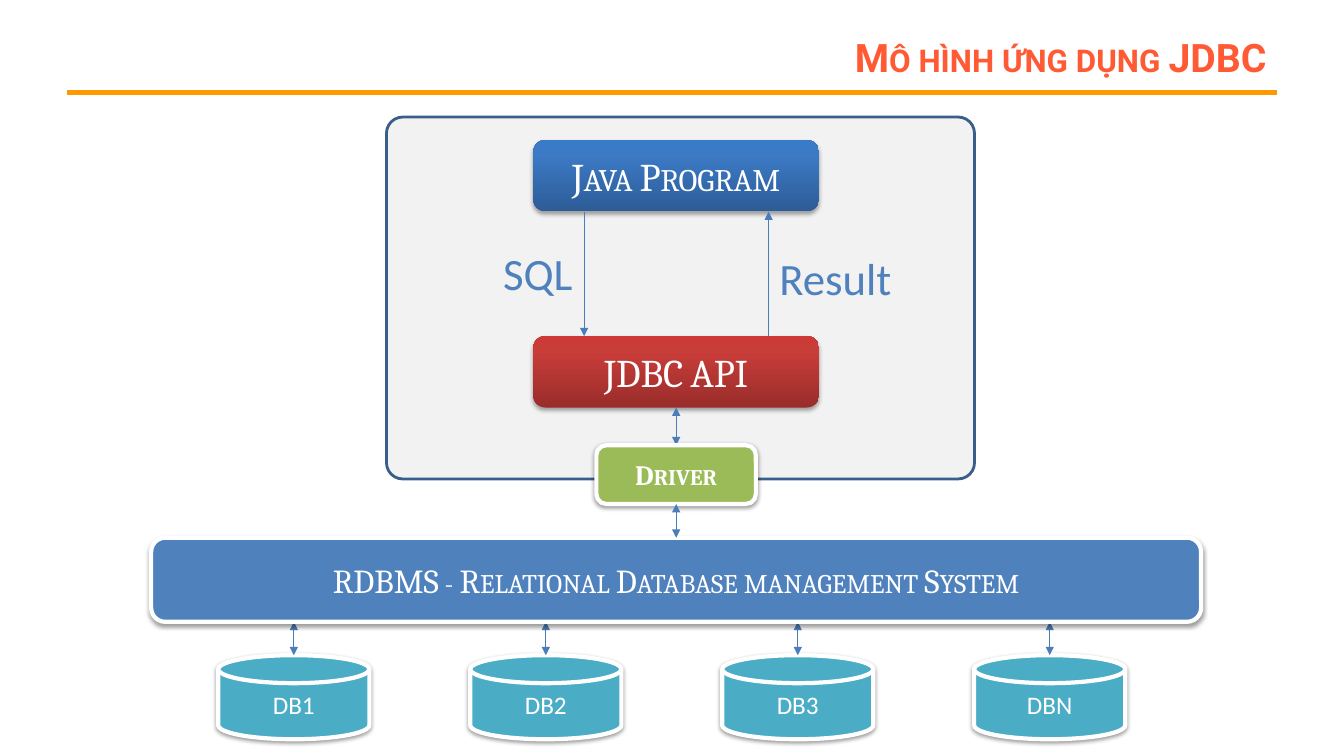
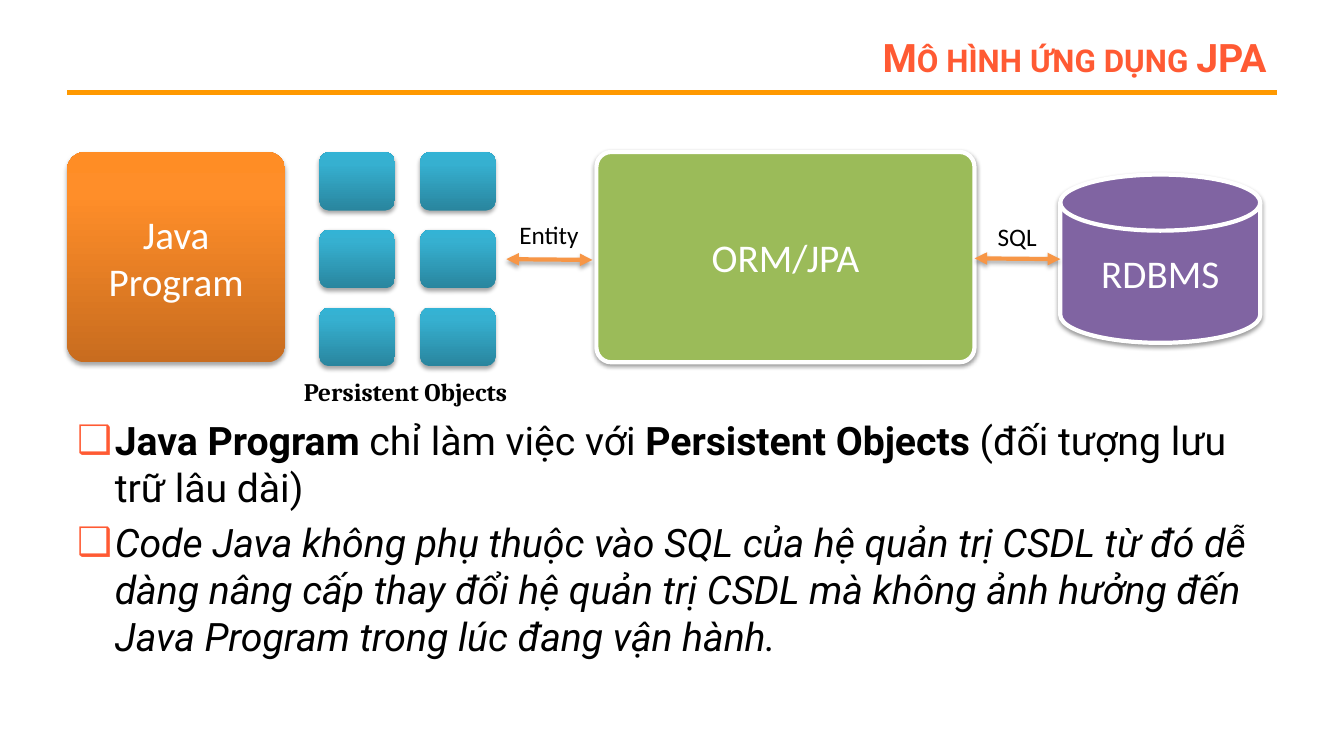
"""Build two slides that compare the JDBC and JPA application models."""
from copy import deepcopy
from dataclasses import dataclass
from typing import NamedTuple, Optional, Union

from lxml import etree
from pptx import Presentation
from pptx import util as u
from pptx.dml.color import RGBColor
from pptx.enum import shapes, text
from pptx.oxml import ns

Gradient = tuple[str, str, str]


class Box(NamedTuple):
    x: float
    y: float
    w: float
    h: float

    @property
    def right(self) -> float:
        return self.x + self.w

    @property
    def bottom(self) -> float:
        return self.y + self.h

    @property
    def mid(self) -> float:
        return self.x + self.w / 2

    def emu(self) -> list[u.Cm]:
        return [u.Cm(v) for v in self]


@dataclass(frozen=True)
class Theme:
    title: str = "FF5A33"
    rule: str = "FF9900"
    white: str = "FFFFFF"
    black: str = "000000"
    panel: str = "F2F2F2"
    panel_edge: str = "395E89"
    blue: str = "4F81BD"
    arrow: str = "4A7DBA"
    green: str = "9BBB59"
    aqua: str = "4BACC6"
    purple: str = "8064A2"
    orange: str = "F79646"
    blue_fade: Gradient = ("2D5C97", "3C7AC5", "397BC9")
    red_fade: Gradient = ("992D2B", "C93D39", "CD3A36")
    orange_fade: Gradient = ("C86C1F", "FF8E29", "FF8D25")
    aqua_fade: Gradient = ("29859E", "36B0D0", "33B3D5")
    fade_stops: tuple[float, float, float] = (0, 0.8, 1)
    heading: str = "Roboto"
    serif: str = "Cambria"
    sans: str = "Calibri"
    huge: float = 32
    large: float = 28
    medium: float = 24
    small: float = 20
    tiny: float = 18


T = Theme()


@dataclass(frozen=True)
class Style:
    font: str = T.sans
    size: float = T.large
    color: str = T.white
    bold: bool = False
    italic: bool = False
    caps: bool = False


@dataclass(frozen=True)
class Node:
    box: Box
    fill: Union[str, Gradient]
    label: str = ""
    style: Style = Style()
    adj: float = 0.167
    disk: bool = False


@dataclass(frozen=True)
class Arrow:
    x1: float
    y1: float
    x2: float
    y2: float
    head: bool = True
    tail: bool = True
    color: str = T.arrow
    width: float = 0.75
    shadow: bool = False


@dataclass(frozen=True)
class Caption:
    box: Box
    label: str
    style: Style
    align: text.PP_ALIGN = text.PP_ALIGN.LEFT


TITLE_BOX = Box(6.21, 0.76, 25.96, 1.35)
TITLE = Style(T.heading, T.large, T.title, bold=True, caps=True)
BODY = Style(T.heading, T.large, T.black)
BODY_BOLD = Style(T.heading, T.large, T.black, bold=True)
BODY_ITALIC = Style(T.heading, T.large, T.black, italic=True)
CAPS = Style(T.serif, caps=True)
NOTE = Style(size=T.tiny, color=T.black)


def rgb(color: str) -> RGBColor:
    """Turn a hex string into a colour."""
    return RGBColor.from_string(color)


def sub(parent, tag: str, **attrs):
    """Append a DrawingML child element."""
    return etree.SubElement(parent, ns.qn(f"a:{tag}"), attrs)


def add_run(p, label: str, style: Style) -> None:
    """Add one formatted run to a paragraph."""
    r = p.add_run()
    r.text = label
    f = r.font
    f.name, f.size, f.bold, f.italic = style.font, u.Pt(style.size), style.bold, style.italic
    f.color.rgb = rgb(style.color)
    if style.caps:
        f.element.set("cap", "small") if hasattr(f, "element") else r.font._element.set("cap", "small")


def add_shadow(effects, gradient: bool) -> None:
    """Put a soft drop shadow in an effect list."""
    shadow = sub(effects, "outerShdw", blurRad="40000", dist="23000" if gradient else "20000",
                 dir="5400000", rotWithShape="0")
    sub(sub(shadow, "srgbClr", val=T.black), "alpha", val="35000" if gradient else "38000")


def place(sp, box: Box) -> None:
    """Move and size a shape."""
    sp.left, sp.top, sp.width, sp.height = box.emu()


def fade(sp, colors: Gradient) -> None:
    """Fill a shape with a three-stop vertical gradient."""
    sp.fill.gradient()
    sp.fill.gradient_angle = 90
    stops = sp.element.find(f".//{ns.qn('a:gsLst')}")
    stops.append(deepcopy(stops[-1]))
    for stop, color, position in zip(sp.fill.gradient_stops, colors, T.fade_stops):
        stop.color.rgb = rgb(color)
        stop.position = position


def add_node(s, node: Node) -> None:
    """Draw a labelled rounded box or database disk."""
    kind = shapes.MSO_SHAPE
    sp = s.shapes.add_shape(kind.FLOWCHART_MAGNETIC_DISK if node.disk else kind.ROUNDED_RECTANGLE,
                            *node.box.emu())
    if not node.disk:
        sp.adjustments[0] = node.adj
    gradient = not isinstance(node.fill, str)
    if gradient:
        fade(sp, node.fill)
        sp.line.fill.background()
    else:
        sp.fill.solid()
        sp.fill.fore_color.rgb = rgb(node.fill)
        sp.line.color.rgb = rgb(T.white)
        sp.line.width = u.Pt(3)
    sp.shadow.inherit = False
    add_shadow(sp.element.spPr.find(ns.qn("a:effectLst")), gradient)
    if node.label:
        tf = sp.text_frame
        tf.word_wrap = True
        tf.vertical_anchor = text.MSO_ANCHOR.MIDDLE
        p = tf.paragraphs[0]
        p.alignment = text.PP_ALIGN.CENTER
        add_run(p, node.label, node.style)


def add_arrow(s, arrow: Arrow):
    """Draw a straight line with optional arrowheads."""
    ends = [u.Cm(v) for v in (arrow.x1, arrow.y1, arrow.x2, arrow.y2)]
    line = s.shapes.add_connector(shapes.MSO_CONNECTOR.STRAIGHT, *ends)
    line.line.color.rgb = rgb(arrow.color)
    line.line.width = u.Pt(arrow.width)
    ln = line.line._get_or_add_ln()
    for shown, tag in ((arrow.head, "headEnd"), (arrow.tail, "tailEnd")):
        if shown:
            sub(ln, tag, type="triangle")
    effects = sub(line.element.spPr, "effectLst")
    if arrow.shadow:
        add_shadow(effects, True)
    return line


def add_caption(s, caption: Caption) -> None:
    """Draw a one-line text box."""
    tf = s.shapes.add_textbox(*caption.box.emu()).text_frame
    tf.word_wrap = False
    tf.auto_size = text.MSO_AUTO_SIZE.SHAPE_TO_FIT_TEXT
    p = tf.paragraphs[0]
    p.alignment = caption.align
    add_run(p, caption.label, caption.style)


def add_titled_slide(prs, layout: int, title: str):
    """Add a slide with the shared title style."""
    s = prs.slides.add_slide(prs.slide_layouts[layout])
    place(s.shapes.title, TITLE_BOX)
    tf = s.shapes.title.text_frame
    tf.vertical_anchor = text.MSO_ANCHOR.MIDDLE
    p = tf.paragraphs[0]
    p.alignment = text.PP_ALIGN.RIGHT
    add_run(p, title, TITLE)
    return s


def fill_body(sp, box: Box, items: list[list[tuple[str, Style]]]) -> None:
    """Write the bulleted list in the body placeholder."""
    place(sp, box)
    tf = sp.text_frame
    tf.auto_size = text.MSO_AUTO_SIZE.NONE
    for i, runs in enumerate(items):
        p = tf.add_paragraph() if i else tf.paragraphs[0]
        p.space_before = u.Pt(5.6 if i else 0)
        props = p._p.get_or_add_pPr()
        props.set("marL", str(u.Cm(0.95)))
        props.set("indent", str(-u.Cm(0.95)))
        sub(sub(props, "buClr"), "srgbClr", val=T.title)
        sub(props, "buChar", char="❑")
        for label, style in runs:
            add_run(p, label, style)


def add_panel(s, box: Box) -> None:
    """Draw the pale application frame."""
    sp = s.shapes.add_shape(shapes.MSO_SHAPE.ROUNDED_RECTANGLE, *box.emu())
    sp.adjustments[0] = 0.045
    sp.fill.solid()
    sp.fill.fore_color.rgb = rgb(T.panel)
    sp.line.color.rgb = rgb(T.panel_edge)
    sp.line.width = u.Pt(2)
    sp.shadow.inherit = False


def build_jdbc(prs) -> None:
    """Build the JDBC model slide and the shared title rule."""
    s = add_titled_slide(prs, 5, "Mô hình ứng dụng JDBC")
    rule = add_arrow(s, Arrow(1.69, 2.33, 32.17, 2.33, False, False, T.rule, 3))
    prs.slide_master.shapes.element.append(rule.element)
    add_panel(s, Box(9.74, 2.95, 14.82, 9.12))
    program, api = (Box(13.44, y, 7.2, 1.8) for y in (3.53, 8.47))
    driver = Box(15.03, 11.22, 4.02, 1.48)
    rdbms = Box(3.81, 13.55, 26.46, 2.12)
    disks = [Box(5.5 + 6.35 * i, 16.51, 3.81, 2.12) for i in range(4)]
    for box, name in zip(disks, ("DB1", "DB2", "DB3", "DBN")):
        add_node(s, Node(box, T.aqua, name, Style(size=T.tiny), disk=True))
        add_arrow(s, Arrow(box.mid, box.y, box.mid, rdbms.bottom))
    add_node(s, Node(program, T.blue_fade, "Java Program", CAPS))
    add_node(s, Node(api, T.red_fade, "JDBC API", CAPS))
    add_node(s, Node(rdbms, T.blue, "RDBMS - Relational Database management System",
                     Style(T.serif, T.medium, caps=True)))
    add_arrow(s, Arrow(api.mid, api.bottom, api.mid, driver.y))
    add_arrow(s, Arrow(14.72, program.bottom, 14.72, api.y, head=False))
    add_arrow(s, Arrow(19.37, program.bottom, 19.37, api.y, tail=False))
    flow = Style(size=T.huge, color=T.blue)
    add_caption(s, Caption(Box(12.41, 6.07, 2.29, 1.62), "SQL", flow, text.PP_ALIGN.CENTER))
    add_caption(s, Caption(Box(19.37, 6.2, 3.37, 1.62), "Result", flow, text.PP_ALIGN.CENTER))
    add_node(s, Node(driver, T.green, "Driver", Style(T.serif, T.small, bold=True, caps=True)))
    add_arrow(s, Arrow(driver.mid, driver.bottom, driver.mid, rdbms.y))


def build_jpa(prs) -> None:
    """Build the JPA model slide."""
    s = add_titled_slide(prs, 1, "Mô hình ứng dụng JPA")
    fill_body(s.placeholders[1], Box(1.69, 10.37, 30.48, 7.2), [
        [("Java Program ", BODY_BOLD), ("chỉ làm việc với ", BODY),
         ("Persistent Objects ", BODY_BOLD), ("(đối tượng lưu trữ lâu dài)", BODY)],
        [("Code Java không phụ thuộc vào SQL của hệ quản trị CSDL từ đó dễ dàng nâng cấp "
          "thay đổi hệ quản trị CSDL mà không ảnh hưởng đến Java Program trong lúc đang "
          "vận hành.", BODY_ITALIC)],
    ])
    top = 3.83
    orm, disk = Box(15.03, top, 9.53, 5.3), Box(26.72, 4.4, 5.04, 4.24)
    add_node(s, Node(Box(1.69, top, 5.5, 5.3), T.orange_fade, "Java Program", adj=0.085))
    for i in range(6):
        row, col = divmod(i, 2)
        add_node(s, Node(Box(8.05 + 2.54 * col, top + 1.96 * row, 1.9, 1.48), T.aqua_fade))
    add_node(s, Node(orm, T.green, "ORM/JPA", adj=0.071))
    add_node(s, Node(disk, T.purple, "RDBMS", disk=True))
    for x1, y1, x2 in ((orm.right, 6.51, disk.x), (12.76, 6.53, 14.93)):
        add_arrow(s, Arrow(x1, y1, x2, y1 + 0.02, color=T.orange, width=3, shadow=True))
    add_caption(s, Caption(Box(7.41, 9.35, 5.85, 1.02), "Persistent Objects",
                           Style(T.serif, T.tiny, T.black, bold=True)))
    add_caption(s, Caption(Box(24.89, 5.44, 1.5, 1.02), "SQL", NOTE))
    add_caption(s, Caption(Box(12.84, 5.41, 2.04, 1.02), "Entity", NOTE))


def main() -> None:
    """Create and save the presentation."""
    prs = Presentation()
    prs.slide_width, prs.slide_height = u.Cm(33.87), u.Cm(19.05)
    build_jdbc(prs)
    build_jpa(prs)
    prs.save("out.pptx")


if __name__ == "__main__":
    main()
